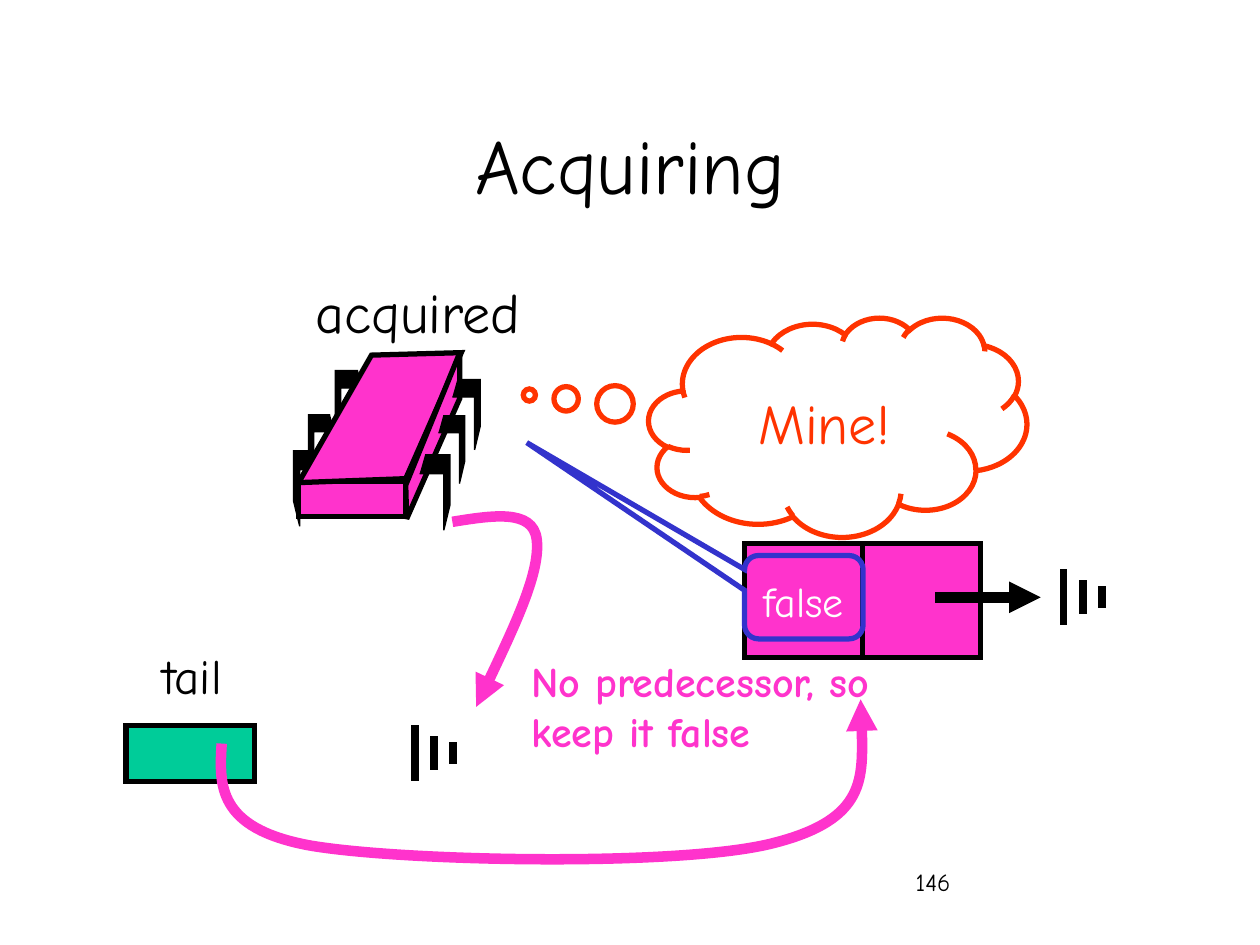
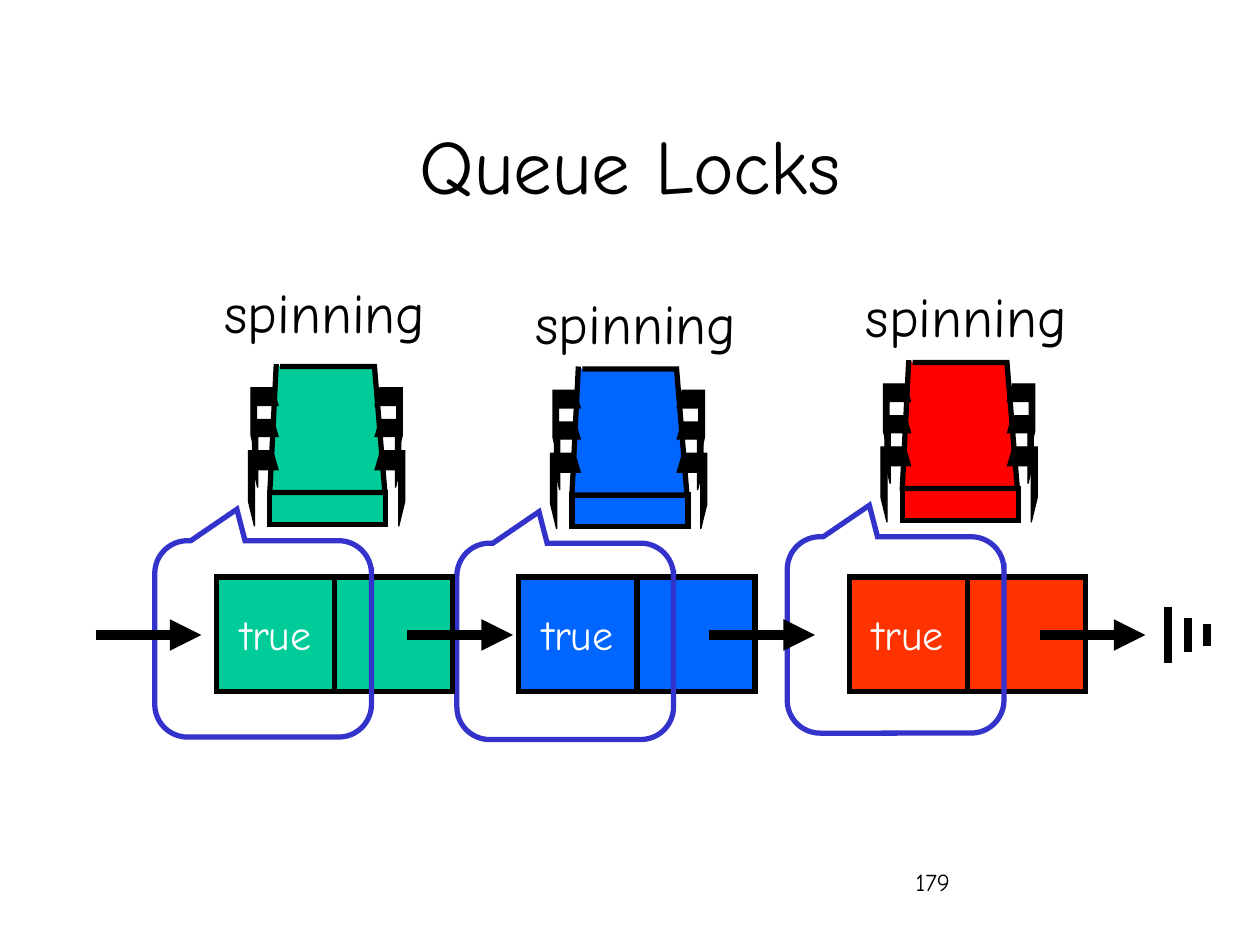
from dataclasses import dataclass
from typing import NamedTuple, Optional

from lxml.etree import SubElement
from pptx import Presentation
from pptx.dml.color import RGBColor
from pptx.enum.shapes import MSO_CONNECTOR, MSO_SHAPE as SHAPE
from pptx.enum.text import MSO_ANCHOR as ANCHOR, PP_ALIGN as ALIGN
from pptx.oxml.ns import qn
from pptx.util import Cm, Pt


@dataclass(frozen=True)
class Theme:
    font: str = "Comic Neue"
    black: str = "000000"
    white: str = "FFFFFF"
    green: str = "00CC99"
    pink: str = "FF33CC"
    blue: str = "0066FF"
    red: str = "FF0000"
    orange: str = "FF3300"
    indigo: str = "3333CC"
    title: int = 44
    label: int = 32
    caption: int = 28
    value: int = 24
    number: int = 14
    hair: float = 0.75
    outline: float = 3
    bar: float = 4.5
    arrow: float = 6


T = Theme()


# All positions and sizes are in centimetres
class Box(NamedTuple):
    x: float
    y: float
    w: float
    h: float


class Pos(NamedTuple):
    x: float
    y: float


class Leg(NamedTuple):
    w: float
    h: float


class Spinner(NamedTuple):
    body: Pos
    label: Pos
    body_color: str
    node_color: str


LEGS = [Leg(0.61, 1.52), Leg(0.53, 1.37), Leg(0.56, 1.42)]  # front to rear
LEG_OUTLINE = [(0.18, 0), (1, 0), (1, 0.67), (0.8, 1), (0.8, 0.25), (0, 0.25)]
CELL_W, CELL_H = 2.38, 2.31
ARROW_START, ARROW_LENGTH = 3.84, 2.13
NULL_START = 6.43
NULL_STEP, NULL_HALVES = 0.39, (0.56, 0.34, 0.22)
SPIN_ROW, SPIN_ARROW_Y = 11.63, 12.8

SPINNERS = [
    Spinner(Pos(18.19, 7.26), Pos(17.15, 5.56), T.red, T.orange),
    Spinner(Pos(11.53, 7.39), Pos(10.49, 5.69), T.blue, T.blue),
    Spinner(Pos(5.44, 7.34), Pos(4.22, 5.46), T.green, T.green),
]


# Formatting helpers
def emu(box: Box) -> list:
    return [Cm(v) for v in box]


def rgb(color: str) -> RGBColor:
    return RGBColor.from_string(color)


def stroke(sp, color: str, width: float, head: bool = False) -> None:
    sp.line.color.rgb = rgb(color)
    sp.line.width = Pt(width)
    ln = sp.line._get_or_add_ln()
    SubElement(ln, qn("a:miter"), lim="800000")
    if head:
        SubElement(ln, qn("a:tailEnd"), type="triangle")


def paint(sp, fill: Optional[str], line: str, width: float, head: bool = False) -> None:
    sp.shadow.inherit = False
    if fill:
        sp.fill.solid()
        sp.fill.fore_color.rgb = rgb(fill)
    else:
        sp.fill.background()
    stroke(sp, line, width, head)


def write(sp, text: str, size: int, color: str = T.black, align=ALIGN.LEFT,
          anchor=ANCHOR.TOP, wrap: bool = True, bold: bool = False) -> None:
    tf = sp.text_frame
    tf.word_wrap = wrap
    tf.vertical_anchor = anchor
    p = tf.paragraphs[0]
    p.alignment = align
    r = p.add_run()
    r.text = text
    r.font.name = T.font
    r.font.size = Pt(size)
    r.font.bold = bold
    r.font.color.rgb = rgb(color)


# Drawing primitives
def add_text(s, box: Box, text: str, size: int, **style) -> None:
    write(s.shapes.add_textbox(*emu(box)), text, size, **style)


def add_label(s, box: Box, text: str) -> None:
    add_text(s, box, text, T.label, align=ALIGN.CENTER, wrap=False)


def add_box(s, box: Box, fill: Optional[str], line: str = T.black,
            kind=SHAPE.RECTANGLE, adjust: tuple = ()):
    sp = s.shapes.add_shape(kind, *emu(box))
    for i, value in enumerate(adjust):
        sp.adjustments[i] = value
    paint(sp, fill, line, T.outline)
    return sp


def add_line(s, start: Pos, end: Pos, width: float, head: bool = False) -> None:
    ends = [Cm(v) for v in (*start, *end)]
    sp = s.shapes.add_connector(MSO_CONNECTOR.STRAIGHT, *ends)
    stroke(sp, T.black, width, head)
    SubElement(sp._element.spPr, qn("a:effectLst"))


def outline(s, points: list, close: bool):
    pts = [(Cm(x), Cm(y)) for x, y in points]
    fb = s.shapes.build_freeform(*pts[0], scale=1.0)
    fb.add_line_segments(pts[1:], close=close)
    return fb.convert_to_shape()


def add_polygon(s, points: list, fill: str, width: float = T.outline,
                close: bool = True) -> None:
    paint(outline(s, points, close), fill, T.black, width)


def add_curve(s, points: list) -> None:
    """Pink arrow: a start point, then three Bezier points per segment."""
    sp = outline(s, points, False)
    steps = list(sp._element.iter(qn("a:lnTo")))
    for i in range(0, len(steps), 3):
        bezier = SubElement(steps[i].getparent(), qn("a:cubicBezTo"))
        for step in steps[i:i + 3]:
            bezier.append(step[0])
            step.getparent().remove(step)
    paint(sp, None, T.pink, T.arrow, head=True)


# Diagram parts
def add_leg(s, at: Pos, leg: Leg, mirrored: bool) -> None:
    points = [(at.x + leg.w * (1 - fx if mirrored else fx), at.y + leg.h * fy)
              for fx, fy in LEG_OUTLINE]
    add_polygon(s, points, T.black, T.hair, close=False)


def add_null(s, x: float, y: float) -> None:
    for i, half in enumerate(NULL_HALVES):
        bar_x = x + i * NULL_STEP
        add_line(s, Pos(bar_x, y - half), Pos(bar_x, y + half), T.bar)


def add_arrow(s, x: float, y: float) -> None:
    add_line(s, Pos(x, y), Pos(x + ARROW_LENGTH, y), T.arrow, head=True)


def add_node(s, at: Pos, color: str, text: str, arrow_y: float) -> None:
    value = add_box(s, Box(at.x, at.y, CELL_W, CELL_H), color)
    write(value, text, T.value, T.white, ALIGN.CENTER, ANCHOR.MIDDLE, wrap=False)
    add_box(s, Box(at.x + CELL_W, at.y, CELL_W, CELL_H), color)
    add_arrow(s, at.x + ARROW_START, arrow_y)


def add_front_thread(s, at: Pos, color: str) -> None:
    add_box(s, Box(at.x, at.y + 2.59, 2.34, 0.64), color)
    top = [(0.21, 0.05), (2.11, 0.05), (2.32, 2.59), (0, 2.59), (0.13, 0)]
    add_polygon(s, [(at.x + x, at.y + y) for x, y in top], color, close=False)
    for mirrored in (False, True):
        for leg, y in zip(LEGS, (1.75, 1.12, 0.48)):
            x = 0.18 - leg.w if mirrored else 2.11
            add_leg(s, Pos(at.x + x, at.y + y), leg, mirrored)


def add_tilted_thread(s, color: str) -> None:
    add_box(s, Box(6.02, 9.7, 2.16, 0.71), color)
    left = [Pos(5.92, 9.09), Pos(6.22, 8.36), Pos(6.76, 7.47)]
    right = [Pos(8.46, 9.17), Pos(8.84, 8.38), Pos(9.12, 7.65)]
    for at, leg in zip(left, LEGS):
        add_leg(s, at, leg, True)
    add_polygon(s, [(6.02, 9.73), (8.18, 9.65), (9.3, 7.11), (7.49, 7.16)], color)
    add_polygon(s, [(9.27, 7.11), (9.27, 8.03), (8.2, 10.46), (8.18, 9.78)], color)
    for at, leg in zip(right, LEGS):
        add_leg(s, at, leg, False)


# Slides
def add_page(prs, title: str, number: str):
    s = prs.slides.add_slide(prs.slide_layouts[5])
    sp = s.shapes.title
    sp.left, sp.top, sp.width, sp.height = emu(Box(1.91, 1.7, 21.59, 3.18))
    write(sp, title, T.title, align=ALIGN.CENTER, anchor=ANCHOR.MIDDLE)
    add_text(s, Box(18.21, 17.35, 5.28, 1.27), number, T.number)
    return s


def acquiring(prs) -> None:
    s = add_page(prs, "Acquiring", "146")
    # Tail pointer and queue node
    add_box(s, Box(2.54, 14.63, 2.59, 1.12), T.green)
    add_text(s, Box(3.02, 12.88, 2.62, 1.45), "tail", T.caption)
    node = Pos(15.01, 10.95)
    add_node(s, node, T.pink, "false", 12.04)
    add_null(s, node.x + NULL_START, 12.04)
    # Thread and its pointers
    add_tilted_thread(s, T.pink)
    add_label(s, Box(5.94, 5.46, 4.98, 1.6), "acquired")
    add_curve(s, [(9.12, 10.52), (9.93, 10.39), (10.74, 10.26), (10.82, 10.87),
                  (10.9, 11.51), (10.26, 12.88), (9.6, 14.25)])
    add_curve(s, [(4.47, 14.99), (4.42, 15.82), (4.37, 16.69), (6.22, 17.04),
                  (8.08, 17.37), (13.79, 17.48), (15.62, 16.99),
                  (17.48, 16.51), (17.42, 15.29), (17.35, 14.1)])
    add_null(s, 8.36, 15.18)
    # Callouts and remark
    cloud = add_box(s, Box(13.08, 6.4, 7.62, 4.42), None, T.orange,
                    SHAPE.CLOUD_CALLOUT, (-0.816, -0.146))
    write(cloud, "Mine!", T.label, T.orange, ALIGN.CENTER, ANCHOR.MIDDLE)
    add_box(s, Box(node.x, 11.2, 2.39, 1.68), None, T.indigo,
            SHAPE.ROUNDED_RECTANGULAR_CALLOUT, (-2.337, -1.855, 0.167))
    add_text(s, Box(10.46, 13.08, 7.62, 2.31), "No predecessor, so keep it false",
             T.value, color=T.pink, bold=True)


def queue_locks(prs) -> None:
    s = add_page(prs, "Queue Locks", "179")
    for spinner in SPINNERS:
        x, y = spinner.body
        add_front_thread(s, spinner.body, spinner.body_color)
        add_label(s, Box(*spinner.label, 4.67, 1.6), "spinning")
        add_node(s, Pos(x - 1.07, SPIN_ROW), spinner.node_color, "true", SPIN_ARROW_Y)
        add_box(s, Box(x - 2.32, y + 3.56, 4.37, 3.96), None, T.indigo,
                SHAPE.ROUNDED_RECTANGULAR_CALLOUT, (-0.121, -0.66, 0.167))
    # Ends of the queue
    add_null(s, SPINNERS[0].body.x - 1.07 + NULL_START, SPIN_ARROW_Y)
    add_arrow(s, 1.93, SPIN_ARROW_Y)


def main() -> None:
    prs = Presentation()
    prs.slide_width, prs.slide_height = Cm(25.4), Cm(19.05)
    acquiring(prs)
    queue_locks(prs)
    prs.save("out.pptx")


if __name__ == "__main__":
    main()
